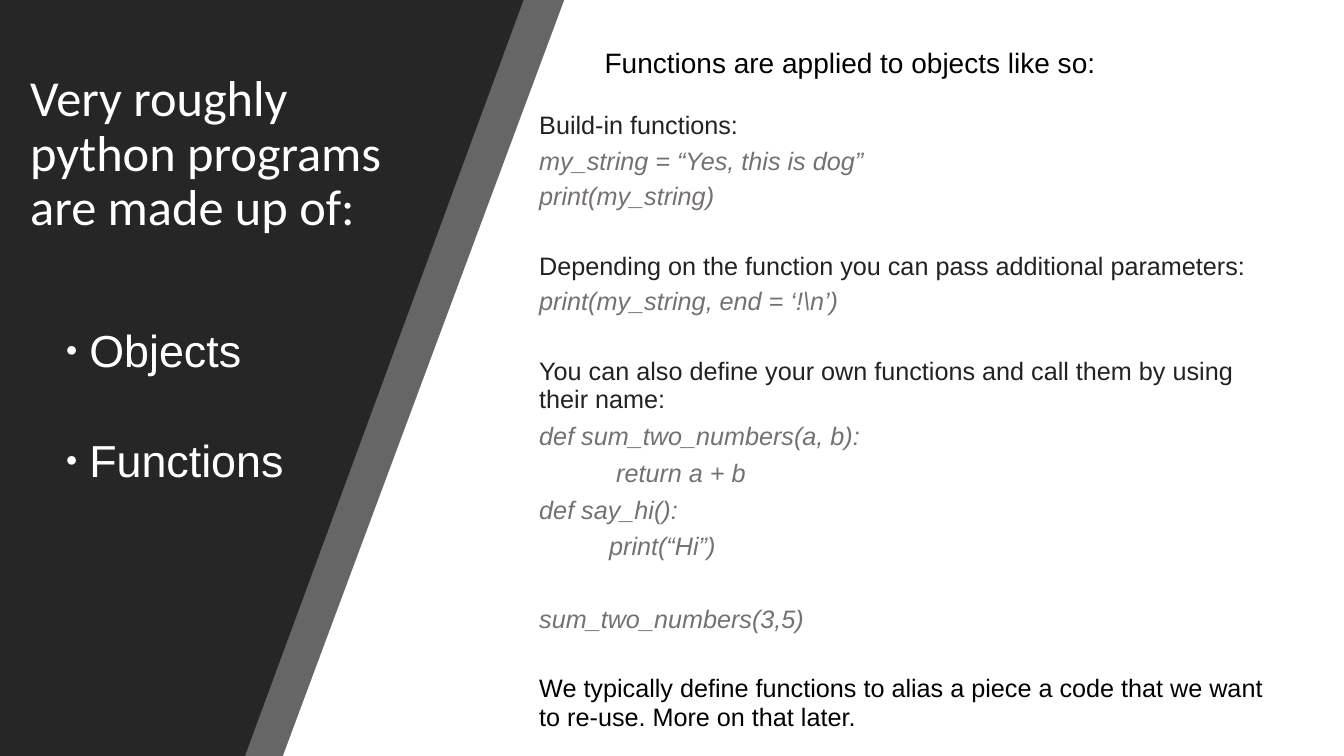
from lxml import etree
from pptx import Presentation
from pptx.dml.color import RGBColor
from pptx.enum import text
from pptx.oxml import ns
from pptx.util import Pt

WIDTH, HEIGHT = 960, 540
DARK, WHITE, BLACK = "262626", "FFFFFF", "000000"
PROSE, CODE = "222222", "767171"


def rgb(value):
    return RGBColor.from_string(value)


def add_xml(parent, tag, **attributes):
    return etree.SubElement(parent, ns.qn(tag), attributes)


class Slide:
    font = "Arial"

    def __init__(self, prs):
        self.s = prs.slides.add_slide(prs.slide_layouts[1])

    def band(self, top_width, bottom_width, color, alpha=None):
        """Slanted panel along the left edge, placed behind the text."""
        builder = self.s.shapes.build_freeform(0, 0, scale=Pt(1))
        builder.add_line_segments(
            [(top_width, 0), (bottom_width, HEIGHT), (0, HEIGHT)])
        sp = builder.convert_to_shape()
        sp.shadow.inherit = False
        sp.fill.solid()
        sp.fill.fore_color.rgb = rgb(color)
        sp.line.fill.background()
        if alpha:
            clr = sp._element.spPr.find(".//" + ns.qn("a:srgbClr"))
            add_xml(clr, "a:alpha", val=str(alpha * 1000))
        self.s.shapes.title._element.addprevious(sp._element)

    def frame(self, sp, box, inset, anchor=text.MSO_ANCHOR.TOP):
        sp.left, sp.top, sp.width, sp.height = map(Pt, box)
        tf = sp.text_frame
        tf.word_wrap = True
        tf.auto_size = text.MSO_AUTO_SIZE.NONE
        tf.vertical_anchor = anchor
        tf.margin_left = tf.margin_right = Pt(inset)
        tf.margin_top = tf.margin_bottom = Pt(3.6)
        return tf

    def paragraph(self, tf, index, words, size, color, before=0, spacing=1.0,
                  italic=False, font=None):
        p = tf.add_paragraph() if index else tf.paragraphs[0]
        p.text = words
        p.alignment = text.PP_ALIGN.LEFT
        p.line_spacing = spacing
        p.space_before = Pt(before if index else 0)
        p.space_after = Pt(0)
        p.font.name = font or self.font
        p.font.size = Pt(size)
        p.font.color.rgb = rgb(color)
        p.font.italic = italic
        return p

    def title(self, box, lines):
        tf = self.frame(self.s.shapes.title, box, 3.6, text.MSO_ANCHOR.MIDDLE)
        for i, line in enumerate(lines):
            self.paragraph(tf, i, line, 36, WHITE, spacing=0.9, font="Calibri")

    def bullets(self, box, items, gap):
        tf = self.frame(self.s.placeholders[1], box, 7.2)
        for i, item in enumerate(items):
            p = tf.paragraphs[0] if i == 0 else tf.add_paragraph()
            pPr = p._p.get_or_add_pPr()
            pPr.set("marL", str(Pt(17)))
            pPr.set("indent", str(-Pt(17)))
            add_xml(add_xml(pPr, "a:buClr"), "a:srgbClr", val=WHITE)
            add_xml(pPr, "a:buSzPct", val="45000")
            add_xml(pPr, "a:buChar", char="●")
            p.text = item
            p.alignment = text.PP_ALIGN.LEFT
            p.space_before = Pt(gap if i else 0)
            p.font.name = self.font
            p.font.size = Pt(32)
            p.font.color.rgb = rgb(WHITE)

    def heading(self, box, words):
        tf = self.frame(self.s.shapes.add_textbox(0, 0, 0, 0), box, 7.2)
        self.paragraph(tf, 0, words, 20, BLACK)

    def listing(self, box, rows):
        tf = self.frame(self.s.shapes.add_textbox(0, 0, 0, 0), box, 3.6)
        for i, (words, color, before) in enumerate(rows):
            self.paragraph(tf, i, words, 18, color, before, 0.94,
                           italic=color == CODE)


def main():
    prs = Presentation()
    prs.slide_width, prs.slide_height = Pt(WIDTH), Pt(HEIGHT)
    slide = Slide(prs)

    # Slanted panels
    slide.band(403, 202.5, DARK, alpha=70)
    slide.band(374, 175, DARK)

    # Left side: title and list
    slide.title((18, 26.6, 291.6, 167.8),
                ["Very roughly", "python programs are made up of:"])
    slide.bullets((39.6, 226.8, 223.2, 134.6), ["Objects", "Functions"], 40)

    # Right side: heading and worked examples
    slide.heading((424.8, 28.8, 381.6, 67.7),
                  "Functions are applied to objects like so:")
    slide.listing((381.6, 76.5, 532.8, 440), [
        ("Build-in functions:", PROSE, 0),
        ("my_string = “Yes, this is dog”", CODE, 5),
        ("print(my_string)", CODE, 5),
        ("Depending on the function you can pass additional parameters:",
         PROSE, 29.4),
        ("print(my_string, end = ‘!\\n’)", CODE, 5),
        ("You can also define your own functions and call them by using "
         "their name:", PROSE, 29.4),
        ("def sum_two_numbers(a, b):", CODE, 6),
        ("           return a + b", CODE, 6),
        ("def say_hi():", CODE, 6),
        ("          print(“Hi”)", CODE, 6),
        ("sum_two_numbers(3,5)", CODE, 31.4),
        ("We typically define functions to alias a piece a code that we want "
         "to re-use. More on that later.", BLACK, 29.4),
    ])
    prs.save("out.pptx")


if __name__ == "__main__":
    main()
